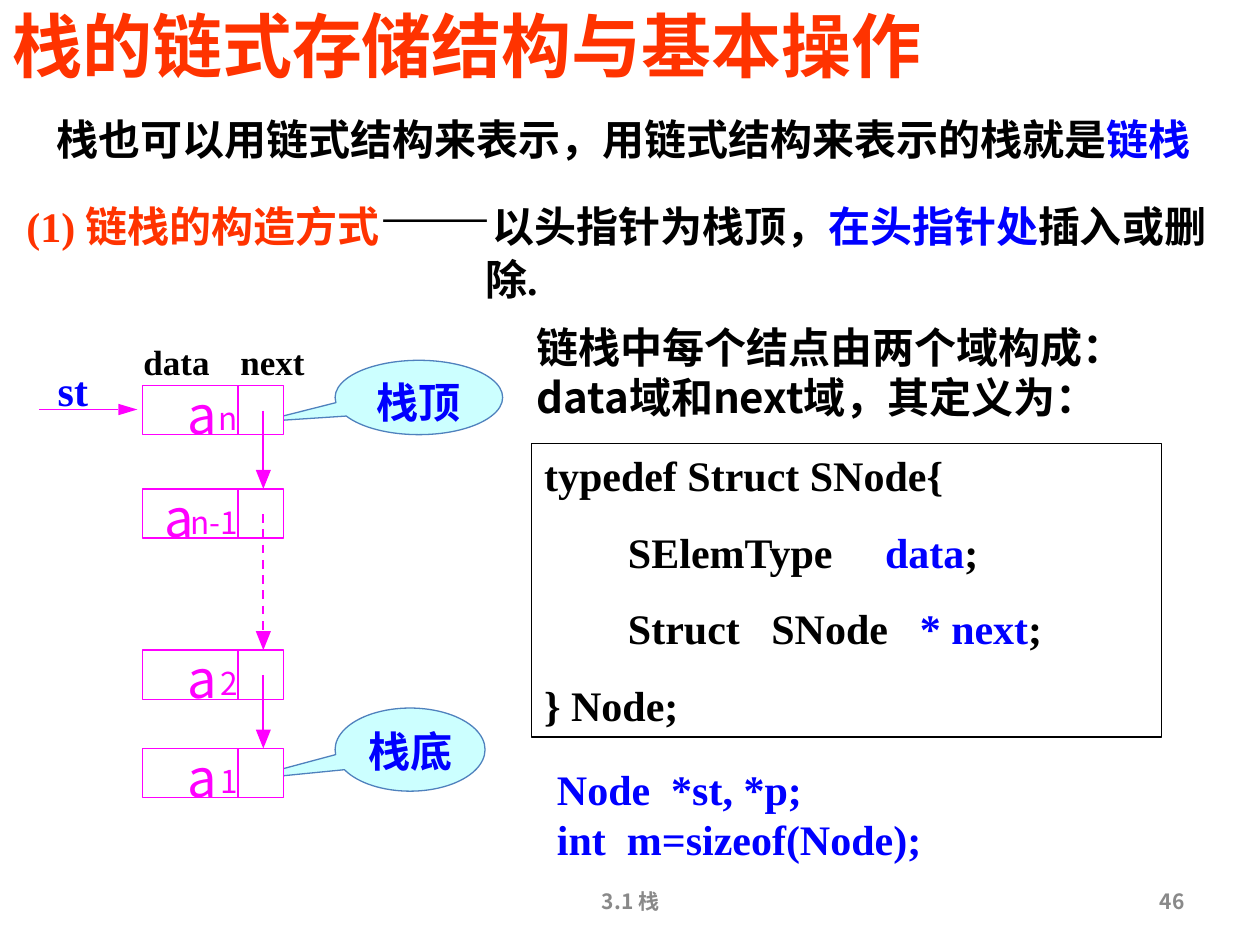
from lxml.etree import SubElement
from pptx import Presentation
from pptx.dml.color import RGBColor
from pptx.enum.dml import MSO_LINE
from pptx.enum.shapes import MSO_CONNECTOR, MSO_SHAPE
from pptx.enum.text import MSO_ANCHOR, MSO_AUTO_SIZE, PP_ALIGN
from pptx.oxml.ns import qn
from pptx.util import Inches, Pt

SANS, SERIF = "Noto Sans CJK SC", "Times New Roman"
BLACK, WHITE, BLUE, RED = "000000", "FFFFFF", "0000FF", "FF3300"
PINK, GREY, PALE, STEEL = "FF00FF", "898989", "CCFFFF", "4F81BD"

NODE_LEFT, NODE_WIDTH, NODE_HEIGHT = 1.13, 1.12, 0.39
DIVIDER_X, POINTER_X = 1.89, 2.09
HEAD_LENGTH, HEAD_HALF = 0.15, 0.06


def rgb(color):
    return RGBColor.from_string(color)


def box(left, top, width, height):
    return [Inches(value) for value in (left, top, width, height)]


def write(shape, paragraphs, size, color, font=SERIF, bold=True, align=PP_ALIGN.LEFT,
          inset=(0.1, 0.05), anchor=MSO_ANCHOR.TOP, wrap=True, gap=0):
    """Each paragraph is a list of (text, colour, size); None keeps the default."""
    frame = shape.text_frame
    frame.word_wrap = wrap
    if not wrap:
        frame.auto_size = MSO_AUTO_SIZE.SHAPE_TO_FIT_TEXT
    frame.vertical_anchor = anchor
    frame.margin_left = frame.margin_right = Inches(inset[0])
    frame.margin_top = frame.margin_bottom = Inches(inset[1])
    for index, parts in enumerate(paragraphs):
        paragraph = frame.add_paragraph() if index else frame.paragraphs[0]
        paragraph.alignment = align
        paragraph.space_before = Pt(gap if index else 0)
        paragraph.font.size, paragraph.font.bold = Pt(size), bold
        paragraph.font.name = font
        paragraph.font.color.rgb = rgb(color)
        defaults = paragraph._p.pPr.find(qn("a:defRPr"))
        SubElement(defaults, qn("a:ea")).set("typeface", SANS)
        for text, part_color, part_size in parts:
            run = paragraph.add_run()
            run.text = text
            if part_color:
                run.font.color.rgb = rgb(part_color)
            if part_size:
                run.font.size = Pt(part_size)


def plain(*lines):
    return [[(line, None, None)] for line in lines]


def add_text(slide, place, paragraphs, size, color, **style):
    label = slide.shapes.add_textbox(*box(*place))
    write(label, paragraphs, size, color, **style)
    return label


def add_shape(slide, kind, place, fill, line):
    shape = slide.shapes.add_shape(kind, *box(*place))
    shape.shadow.inherit = False
    if fill:
        shape.fill.solid()
        shape.fill.fore_color.rgb = rgb(fill)
    else:
        shape.fill.background()
    shape.line.color.rgb = rgb(line)
    shape.line.width = Pt(0.75)
    return shape


def add_line(slide, start, end, width=0.75, dashed=False):
    line = slide.shapes.add_connector(
        MSO_CONNECTOR.STRAIGHT, *[Inches(value) for value in (*start, *end)])
    line.line.color.rgb = rgb(PINK)
    line.line.width = Pt(width)
    if dashed:
        line.line.dash_style = MSO_LINE.DASH
    SubElement(line._element.spPr, qn("a:effectLst"))


def add_arrow(slide, start, tip, width=1.25, dashed=False):
    """Horizontal or vertical shaft with a large filled head."""
    x, y = tip
    if start[1] == y:
        neck, half = (x - HEAD_LENGTH, y), (0, 0.045)
    else:
        neck, half = (x, y - HEAD_LENGTH), (HEAD_HALF, 0)
    add_line(slide, start, neck, width, dashed)
    corners = [(neck[0] + side * half[0], neck[1] + side * half[1]) for side in (1, -1)]
    points = [(Inches(px), Inches(py)) for px, py in (corners[0], tip, corners[1])]
    builder = slide.shapes.build_freeform(*points[0], scale=1.0)
    builder.add_line_segments(points[1:], close=True)
    head = builder.convert_to_shape()
    head.shadow.inherit = False
    head.fill.solid()
    head.fill.fore_color.rgb = rgb(PINK)
    head.line.fill.background()


def add_callout(slide, place, tail, text):
    callout = add_shape(slide, MSO_SHAPE.OVAL_CALLOUT, place, PALE, STEEL)
    callout.adjustments[0], callout.adjustments[1] = tail
    write(callout, plain(text), 24, BLUE, align=PP_ALIGN.CENTER, inset=(0.04, 0.04))


def add_node(slide, top, subscript, letter_left, subscript_width):
    add_shape(slide, MSO_SHAPE.RECTANGLE,
              (NODE_LEFT, top, NODE_WIDTH, NODE_HEIGHT), WHITE, PINK)
    style = dict(font=SANS, bold=False, align=PP_ALIGN.CENTER, inset=(0, 0), wrap=False)
    add_text(slide, (letter_left, top - 0.03, 0.23, 0.5), plain("a"), 30, PINK, **style)
    add_text(slide, (DIVIDER_X - subscript_width, top + 0.11, subscript_width, 0.3),
             plain(subscript), 18, PINK, **style)
    add_line(slide, (DIVIDER_X, top), (DIVIDER_X, top + NODE_HEIGHT))


def add_linked_stack(slide):
    add_callout(slide, (2.66, 2.86, 1.33, 0.59), (-0.944, 0.325), "栈顶")
    add_callout(slide, (2.66, 5.62, 1.19, 0.66), (-1.126, 0.364), "栈底")
    add_text(slide, (0.36, 2.84, 0.61, 0.5), plain("st"), 24, BLUE)

    nodes = [(3.06, "n", 1.49, 0.16), (3.88, "n-1", 1.31, 0.38),
             (5.16, "2", 1.49, 0.14), (5.94, "1", 1.49, 0.14)]
    for node in nodes:
        add_node(slide, *node)

    # Head pointer, then the next pointers; the dashed one skips middle nodes
    add_arrow(slide, (0.31, 3.25), (1.09, 3.25), width=0.75)
    for upper, lower in zip(nodes, nodes[1:]):
        add_arrow(slide, (POINTER_X, upper[0] + 0.2), (POINTER_X, lower[0]),
                  dashed=upper[1] == "n-1")

    # Field names above the top node
    for name, left in (("data", 1.04), ("next", 1.81)):
        add_text(slide, (left, 2.65, 0.76, 0.44), plain(name), 20, BLACK, wrap=False)


def add_definition(slide):
    add_text(slide, (4.16, 2.5, 5.04, 0.9),
             plain("链栈中每个结点由两个域构成：", "data域和next域，其定义为："),
             24, BLACK, font=SANS, wrap=False)
    code = add_shape(slide, MSO_SHAPE.RECTANGLE, (4.22, 3.52, 5, 2.33), None, BLACK)
    write(code, [
        [("typedef Struct SNode{", None, None)],
        [("        SElemType     ", None, None), ("data", BLUE, None), (";", None, None)],
        [("        Struct   SNode   ", None, None), ("* next", BLUE, None),
         (";", None, None)],
        [("} Node;", None, None)],
    ], 24, BLACK, gap=15)
    add_text(slide, (4.38, 6.02, 3.39, 0.88),
             plain("Node  *st, *p;", "int  m=sizeof(Node);"), 24, BLUE, inset=(0.04, 0.04))


def main():
    presentation = Presentation()
    presentation.slide_width, presentation.slide_height = Inches(10), Inches(7.5)
    slide = presentation.slides.add_slide(presentation.slide_layouts[6])

    # Title and footer
    add_text(slide, (0, 0, 8.24, 0.7), plain("栈的链式存储结构与基本操作"), 40, RED,
             font=SANS, anchor=MSO_ANCHOR.MIDDLE)
    for left, width, text, align in ((3.42, 3.17, "3.1 栈", PP_ALIGN.CENTER),
                                     (7.17, 2.33, "46", PP_ALIGN.RIGHT)):
        add_text(slide, (left, 6.95, width, 0.4), plain(text), 12, GREY, font=SANS,
                 align=align, anchor=MSO_ANCHOR.MIDDLE)

    # Introduction
    add_text(slide, (0.41, 0.86, 9.08, 0.48),
             [[("栈也可以用链式结构来表示，用链式结构来表示的栈就是", None, None),
               ("链栈", BLUE, None)]],
             24, BLACK, align=PP_ALIGN.CENTER, inset=(0.04, 0.04), wrap=False)
    construction = add_text(
        slide, (0.21, 1.48, 9.6, 0.93),
        [[("(1) 链栈的构造方式", RED, None), ("——", None, 32),
          ("以头指针为栈顶，", None, None), ("在头指针处", BLUE, None),
          ("插入或删除.", None, None)]],
        24, BLACK, inset=(0, 0))
    hanging = construction.text_frame.paragraphs[0]._p.pPr
    hanging.set("marL", str(Inches(3.64)))
    hanging.set("indent", str(Inches(-3.64)))

    add_linked_stack(slide)
    add_definition(slide)
    presentation.save("out.pptx")


if __name__ == "__main__":
    main()
